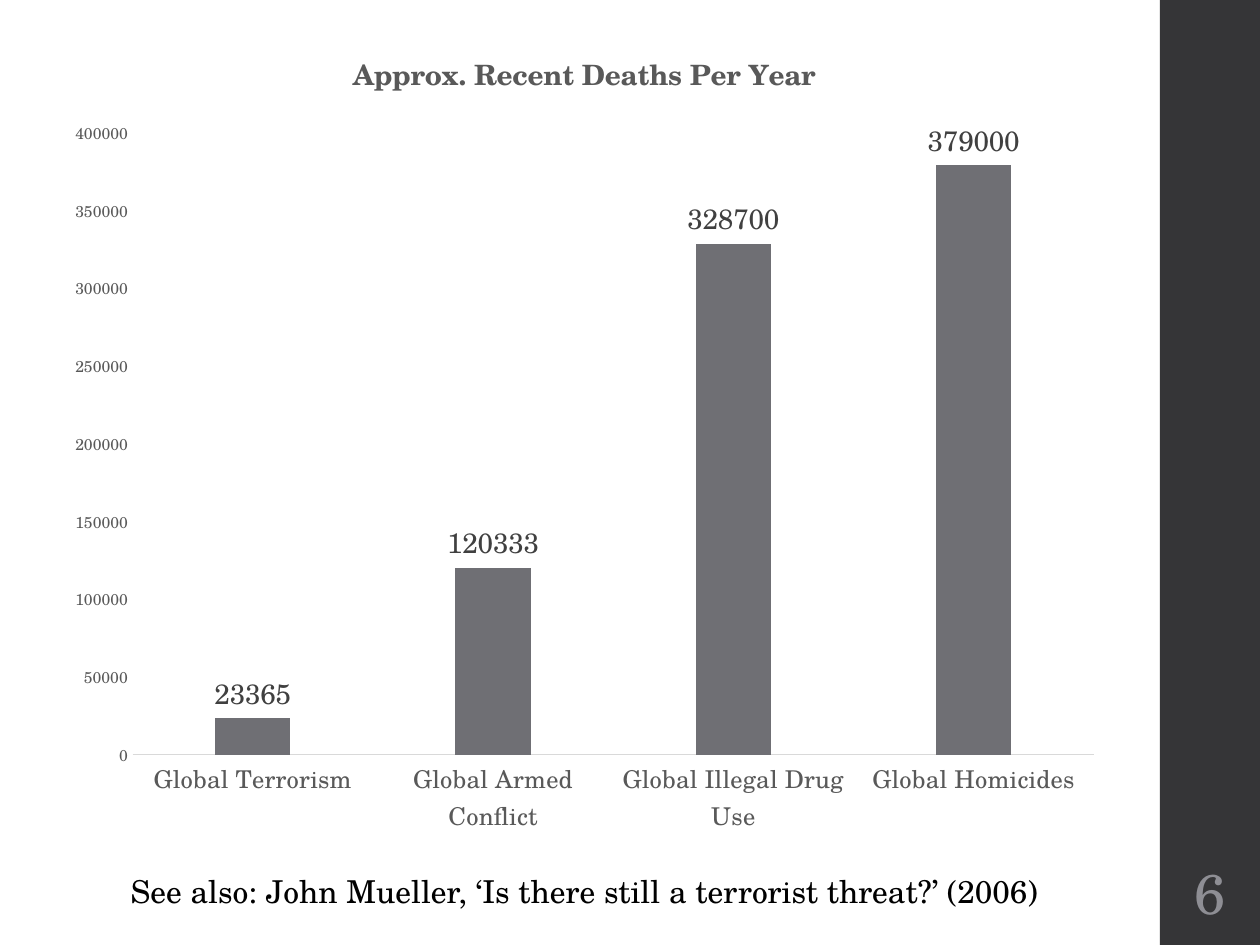
import pptx
import pptx.util
import pptx.dml.color
import pptx.chart.data
import pptx.enum.chart
import pptx.enum.shapes
import pptx.enum.text

PX = 914400 // 126
FACE = "TeX Gyre Schola"
DEATHS = {
    "Global Terrorism": 23365,
    "Global Armed Conflict": 120333,
    "Global Illegal Drug Use": 328700,
    "Global Homicides": 379000,
}


def scale(*sizes):
    return [pptx.util.Emu(size * PX) for size in sizes]


def paint(color, value):
    color.rgb = pptx.dml.color.RGBColor.from_string(value)


def style(font, size, color, bold=False):
    font.name = FACE
    font.size = pptx.util.Pt(size)
    font.bold = bold
    paint(font.color, color)


def add_text(slide, box, words, size, color, inset=13):
    frame = slide.shapes.add_textbox(*scale(*box)).text_frame
    frame.word_wrap = True
    frame.vertical_anchor = pptx.enum.text.MSO_ANCHOR.MIDDLE
    frame.margin_left, frame.margin_right = scale(inset, inset)
    para = frame.paragraphs[0]
    para.alignment = pptx.enum.text.PP_ALIGN.CENTER
    run = para.add_run()
    run.text = words
    style(run.font, size, color)


def add_side(slide, box):
    left, top, width, height = box
    band = slide.shapes.add_shape(
        pptx.enum.shapes.MSO_SHAPE.RECTANGLE, *scale(*box))
    band.shadow.inherit = False
    band.fill.solid()
    paint(band.fill.fore_color, "353537")
    band.line.fill.background()
    add_text(slide, (left + 3, top + height - 94, width - 6, 82),
             "6", 32, "8E8E94", 4)


def add_graph(slide, box):
    data = pptx.chart.data.CategoryChartData()
    data.categories = list(DEATHS)
    data.add_series("Series 1", list(DEATHS.values()))
    kind = pptx.enum.chart.XL_CHART_TYPE.COLUMN_CLUSTERED
    chart = slide.shapes.add_chart(kind, *scale(*box), data).chart
    style(chart.font, 10, "000000")
    chart.has_legend = False
    chart.has_title = True
    title = chart.chart_title.text_frame.paragraphs[0].add_run()
    title.text = "Approx. Recent Deaths Per Year"
    style(title.font, 16, "595959", True)

    for axis, size in ((chart.category_axis, 14), (chart.value_axis, 9)):
        axis.has_major_gridlines = False
        axis.major_tick_mark = pptx.enum.chart.XL_TICK_MARK.NONE
        axis.minor_tick_mark = pptx.enum.chart.XL_TICK_MARK.NONE
        style(axis.tick_labels.font, size, "595959")
    base = chart.category_axis.format.line
    base.width = pptx.util.Pt(0.75)
    paint(base.color, "D9D9D9")
    chart.value_axis.format.line.fill.background()
    chart.value_axis.minimum_scale = 0
    chart.value_axis.maximum_scale = 400000
    chart.value_axis.major_unit = 50000

    plot = chart.plots[0]
    plot.vary_by_categories = False
    plot.gap_width = 219
    plot.overlap = -27
    bars = plot.series[0]
    bars.format.fill.solid()
    paint(bars.format.fill.fore_color, "6F6F74")
    labels = bars.data_labels
    labels.show_value = True
    labels.position = pptx.enum.chart.XL_LABEL_POSITION.OUTSIDE_END
    style(labels.font, 16, "404040")


def add_main(slide, box):
    left, top, width, height = box
    add_graph(slide, (left, top, width, 829))
    add_text(slide, (left, top + 845, width, 50),
             "See also: John Mueller, ‘Is there still a terrorist threat?’ (2006)",
             18, "000000")


def main():
    deck = pptx.Presentation()
    deck.slide_width, deck.slide_height = scale(1260, 945)
    slide = deck.slides.add_slide(deck.slide_layouts[6])
    add_side(slide, (1160, 0, 100, 945))
    add_main(slide, (54, 21, 1061, 895))
    deck.save("out.pptx")


if __name__ == "__main__":
    main()
